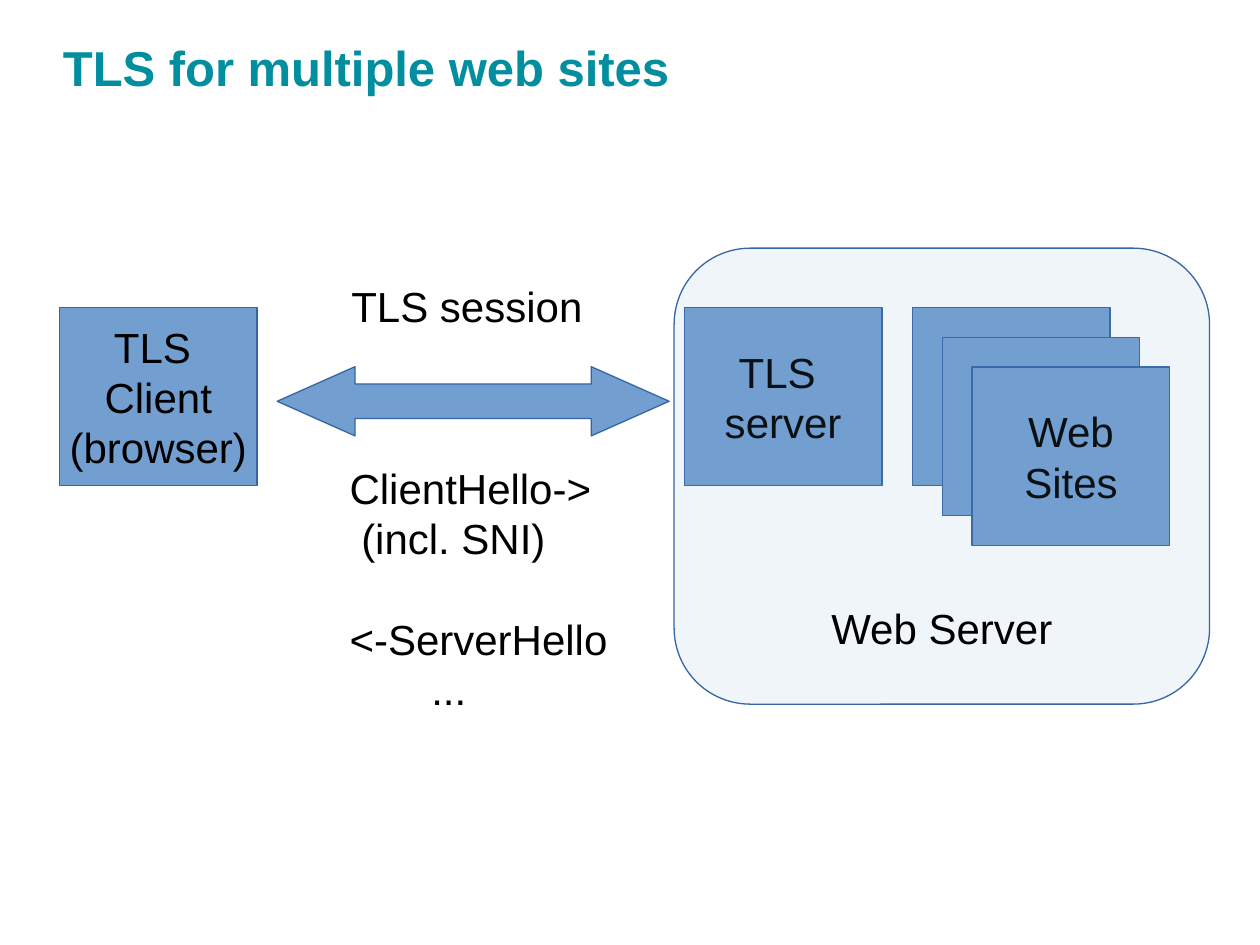
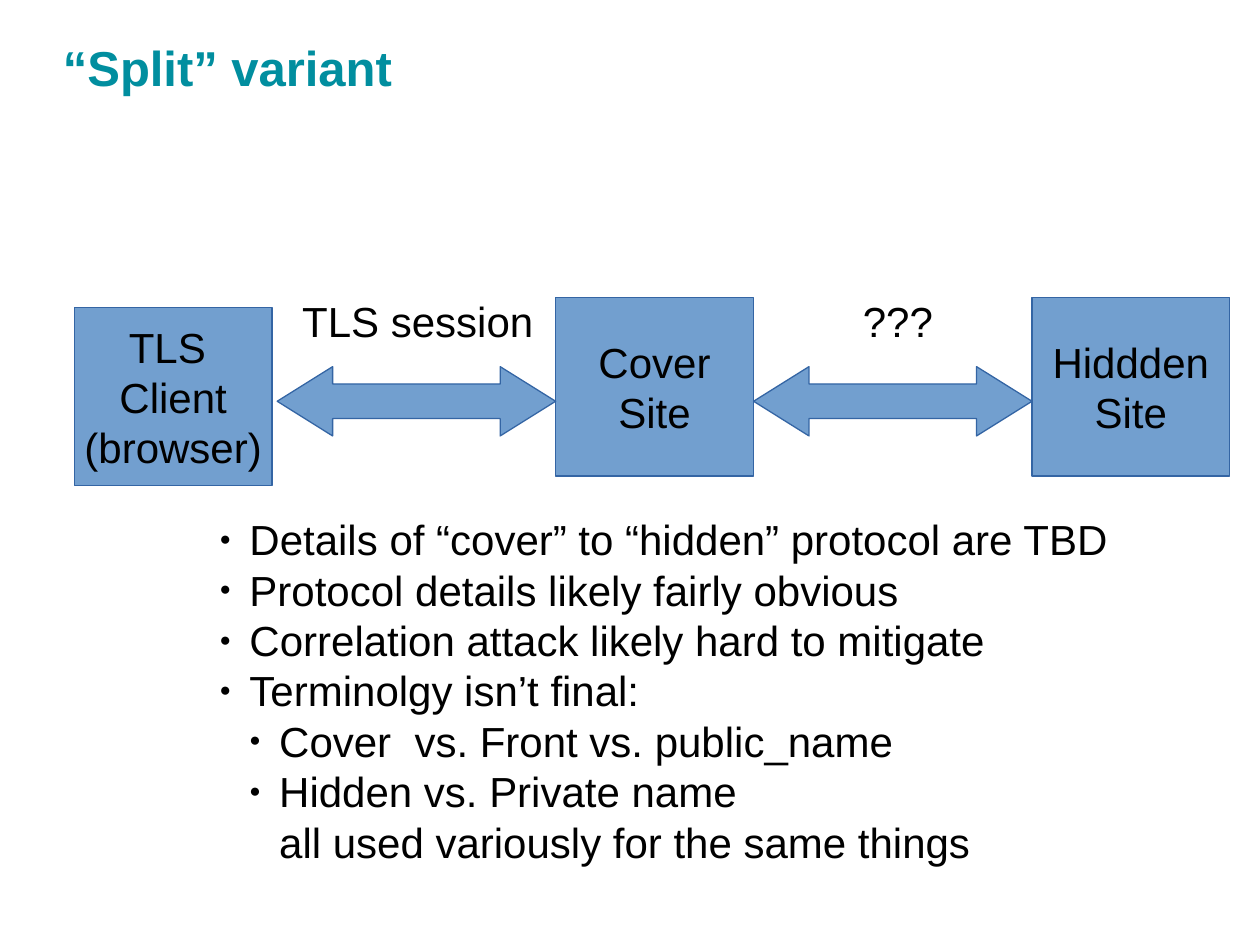
from lxml import etree
from pptx import Presentation
from pptx.dml.color import RGBColor
from pptx.enum import shapes, text
from pptx.oxml import ns
from pptx.util import Pt

COLORS = {"title": "018E9F", "fill": "729FCF", "line": "3465A4", "text": "000000"}
FONT = "Arial"
BODY, TITLE = 24, 28
LEADING = 1.2
BOX_W, BOX_H = 113, 102
ARROW_Y, ARROW_H = 209.5, 39.6
CLIENT = ["TLS ", "Client", "(browser)"]


def rgb(name):
    return RGBColor.from_string(COLORS[name])


def sub(parent, tag, **attrs):
    return etree.SubElement(parent, ns.qn(tag), attrs)


def style_paragraph(p, size=BODY, color="text", bold=False):
    p.line_spacing = Pt(LEADING * size)
    p.font.name = FONT
    p.font.size = Pt(size)
    p.font.bold = bold
    p.font.color.rgb = rgb(color)


def write_lines(tf, lines, align=text.PP_ALIGN.LEFT, **style):
    for i, line in enumerate(lines):
        p = tf.paragraphs[0] if i == 0 else tf.add_paragraph()
        p.text = line
        p.alignment = align
        style_paragraph(p, **style)


def indent(p, left, hanging=0):
    pPr = p._p.get_or_add_pPr()
    pPr.set("marL", str(Pt(left)))
    pPr.set("indent", str(Pt(-hanging)))
    return pPr


def add_bullet(p, level):
    pPr = indent(p, 17 * (level + 1), 17)
    p.level = level
    sub(sub(pPr, "a:buClr"), "a:srgbClr", val=COLORS["text"])
    sub(pPr, "a:buSzPct", val="45000")
    sub(pPr, "a:buFont", typeface=FONT)
    sub(pPr, "a:buChar", char="●")


def add_text(s, x, y, w, h, lines):
    tf = s.shapes.add_textbox(Pt(x), Pt(y), Pt(w), Pt(h)).text_frame
    tf.word_wrap = True
    write_lines(tf, lines)
    return tf


def add_bullets(s, x, y, w, h, items):
    """items holds (level, text) pairs."""
    tf = s.shapes.add_textbox(Pt(x), Pt(y), Pt(w), Pt(h)).text_frame
    tf.word_wrap = True
    for i, (level, line) in enumerate(items):
        p = tf.paragraphs[0] if i == 0 else tf.add_paragraph()
        p.text = line
        add_bullet(p, level)
        style_paragraph(p)


def add_title(s, title):
    tf = s.shapes.add_textbox(Pt(36), Pt(21.6), Pt(648), Pt(90)).text_frame
    tf.word_wrap = True
    tf.margin_left = tf.margin_right = tf.margin_top = tf.margin_bottom = 0
    write_lines(tf, [title], size=TITLE, color="title", bold=True)


def add_shape(s, kind, x, y, w, h):
    sp = s.shapes.add_shape(kind, Pt(x), Pt(y), Pt(w), Pt(h))
    sp.shadow.inherit = False
    sp.fill.solid()
    sp.fill.fore_color.rgb = rgb("fill")
    sp.line.color.rgb = rgb("line")
    sp.line.width = Pt(0.75)
    return sp


def add_box(s, x, y, lines=()):
    sp = add_shape(s, shapes.MSO_SHAPE.RECTANGLE, x, y, BOX_W, BOX_H)
    tf = sp.text_frame
    tf.word_wrap = False
    tf.vertical_anchor = text.MSO_ANCHOR.MIDDLE
    write_lines(tf, lines, text.PP_ALIGN.CENTER)


def add_arrow(s, x, w, head):
    """head is the arrowhead length as a share of the arrow's height."""
    sp = add_shape(s, shapes.MSO_SHAPE.LEFT_RIGHT_ARROW, x, ARROW_Y, w, ARROW_H)
    sp.adjustments[0] = 0.5
    sp.adjustments[1] = head


def add_container(s, x, y, w, h, label):
    """Translucent rounded frame laid over its contents, labelled at the bottom."""
    sp = add_shape(s, shapes.MSO_SHAPE.ROUNDED_RECTANGLE, x, y, w, h)
    sp.adjustments[0] = 0.167
    fill_color = sp._element.spPr.find(ns.qn("a:solidFill"))[0]
    sub(fill_color, "a:alpha", val="10000")
    tf = sp.text_frame
    tf.vertical_anchor = text.MSO_ANCHOR.BOTTOM
    tf.margin_bottom = Pt(16.8)
    write_lines(tf, [label], text.PP_ALIGN.CENTER)


def build_multiple_sites(s):
    top = 175.7
    add_box(s, 391, top, ["TLS ", "server"])
    add_box(s, 34, top, CLIENT)
    for i, lines in enumerate([(), (), ("Web", "Sites")]):
        add_box(s, 521.3 + 17.1 * i, top + 17 * i, lines)
    add_arrow(s, 158.4, 224, 1.125)
    add_container(s, 385.2, 141.8, 306, 260.6, "Web Server")
    add_text(s, 193.7, 157, 160, 36, ["TLS session"])
    hello = add_text(s, 192.7, 260.6, 180, 151,
                     ["ClientHello->", "(incl. SNI)", "<-ServerHello", "..."])
    _, sni, server_hello, dots = hello.paragraphs
    indent(sni, 6.7)
    server_hello.space_before = Pt(LEADING * BODY)
    indent(dots, 46.7)
    add_title(s, "TLS for multiple web sites")


def build_split_variant(s):
    top = 170
    add_box(s, 42.5, 175.7, CLIENT)
    add_box(s, 589.7, top, ["Hiddden", "Site"])
    add_box(s, 317.5, top, ["Cover", "Site"])
    for x, label_x, label in [(158.4, 165.6, "TLS session"), (430.6, 486, "???")]:
        add_arrow(s, x, 159.1, 0.8)
        add_text(s, label_x, 165.6, 150, 36, [label])
    add_title(s, "“Split” variant")
    add_bullets(s, 118.5, 290, 540, 209, [
        (0, "Details of “cover” to “hidden” protocol are TBD"),
        (0, "Protocol details likely fairly obvious"),
        (0, "Correlation attack likely hard to mitigate"),
        (0, "Terminolgy isn’t final:"),
        (1, "Cover  vs. Front vs. public_name"),
        (1, "Hidden vs. Private name\vall used variously for the same things"),
    ])


def main():
    prs = Presentation()
    prs.slide_width, prs.slide_height = Pt(720), Pt(540)
    for build in (build_multiple_sites, build_split_variant):
        build(prs.slides.add_slide(prs.slide_layouts[6]))
    prs.save("out.pptx")


if __name__ == "__main__":
    main()
